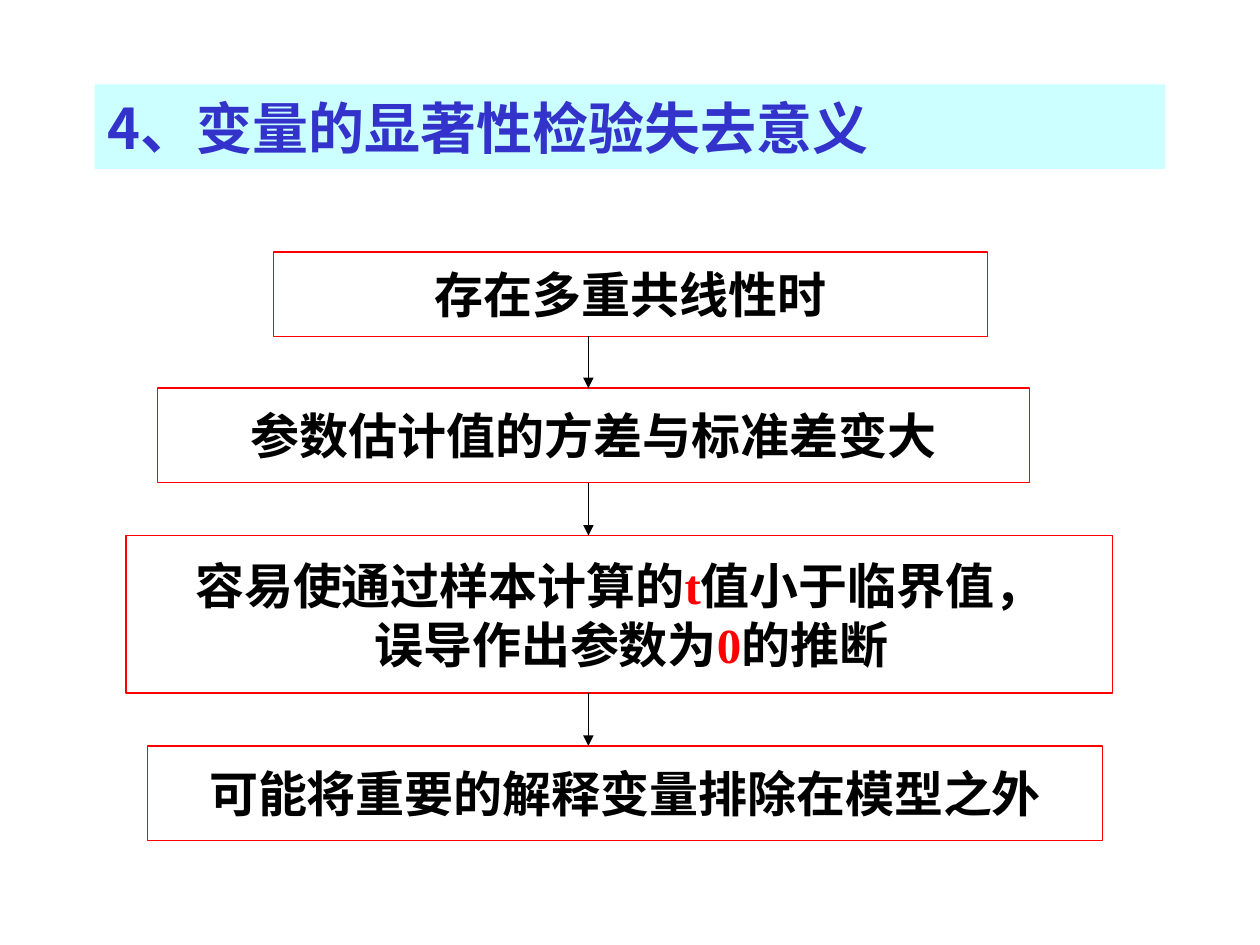
from itertools import pairwise

from lxml.etree import SubElement
from pptx import Presentation
from pptx.dml.color import RGBColor
from pptx.enum.shapes import MSO_CONNECTOR, MSO_SHAPE
from pptx.enum.text import MSO_ANCHOR, PP_ALIGN
from pptx.oxml.ns import qn
from pptx.util import Inches, Pt

CHINESE_FONT = "Noto Sans CJK SC"
LATIN_FONT = "Times New Roman"
BLACK, RED, BLUE, PALE_CYAN = "000000", "FF0000", "3333CC", "CCFFFF"
ARROW_X = 4.67


def color(value):
    return RGBColor.from_string(value)


class FlowSlide:
    """Holds the style and the slide being filled."""

    line_width = Pt(0.75)
    title_size = Pt(32)
    step_size = Pt(28)

    def __init__(self, presentation):
        self.slide = presentation.slides.add_slide(presentation.slide_layouts[5])

    def run(self, paragraph, text, size, font_name, font_color):
        run = paragraph.add_run()
        run.text = text
        font = run.font
        font.size, font.bold, font.name = size, True, font_name
        font.color.rgb = color(font_color)
        east_asian = SubElement(run._r.get_or_add_rPr(), qn("a:ea"))
        east_asian.set("typeface", CHINESE_FONT)

    def title(self, text, left, top, width, height):
        shape = self.slide.shapes.title
        shape.left, shape.top = Inches(left), Inches(top)
        shape.width, shape.height = Inches(width), Inches(height)
        shape.fill.solid()
        shape.fill.fore_color.rgb = color(PALE_CYAN)
        shape.text_frame.vertical_anchor = MSO_ANCHOR.MIDDLE
        paragraph = shape.text_frame.paragraphs[0]
        paragraph.alignment = PP_ALIGN.LEFT
        self.run(paragraph, text, self.title_size, CHINESE_FONT, BLUE)

    def step(self, lines, left, top, width, height):
        shape = self.slide.shapes.add_shape(
            MSO_SHAPE.RECTANGLE, Inches(left), Inches(top), Inches(width), Inches(height)
        )
        shape.shadow.inherit = False
        shape.fill.background()
        shape.line.color.rgb = color(RED)
        shape.line.width = self.line_width
        frame = shape.text_frame
        frame.word_wrap = False
        frame.vertical_anchor = MSO_ANCHOR.MIDDLE
        for index, (indent, runs) in enumerate(lines):
            paragraph = frame.add_paragraph() if index else frame.paragraphs[0]
            paragraph.alignment = PP_ALIGN.CENTER
            if indent:
                paragraph._p.get_or_add_pPr().set("marL", str(Inches(indent)))
            for text, font_color in runs:
                self.run(paragraph, text, self.step_size, LATIN_FONT, font_color)

    def arrow(self, x, top, bottom):
        connector = self.slide.shapes.add_connector(
            MSO_CONNECTOR.STRAIGHT, Inches(x), Inches(top), Inches(x), Inches(bottom)
        )
        connector.line.color.rgb = color(BLACK)
        connector.line.width = self.line_width
        SubElement(connector.line._get_or_add_ln(), qn("a:tailEnd")).set("type", "triangle")
        SubElement(connector._element.spPr, qn("a:effectLst"))


# Each step: lines of (indent, runs), then left, top, width, height
STEPS = [
    ([(0, [("存在多重共线性时", BLACK)])], 2.17, 2, 5.67, 0.67),
    ([(0, [("参数估计值的方差与标准差变大", BLACK)])], 1.25, 3.08, 6.92, 0.75),
    (
        [
            (0, [("容易使通过样本计算的", BLACK), ("t", RED), ("值小于临界值，", BLACK)]),
            (0.19, [("误导作出参数为", BLACK), ("0", RED), ("的推断", BLACK)]),
        ],
        1, 4.25, 7.83, 1.25,
    ),
    ([(0, [("可能将重要的解释变量排除在模型之外", BLACK)])], 1.17, 5.92, 7.58, 0.75),
]


def main():
    presentation = Presentation()
    presentation.slide_width, presentation.slide_height = Inches(10), Inches(7.5)
    flow = FlowSlide(presentation)

    # Title band
    flow.title("4、变量的显著性检验失去意义", 0.75, 0.67, 8.5, 0.67)

    # Steps of the argument
    for step in STEPS:
        flow.step(*step)

    # Arrows from the bottom of each step to the top of the next
    for (_, _, top, _, height), (_, _, next_top, _, _) in pairwise(STEPS):
        flow.arrow(ARROW_X, top + height, next_top)

    presentation.save("out.pptx")


if __name__ == "__main__":
    main()
